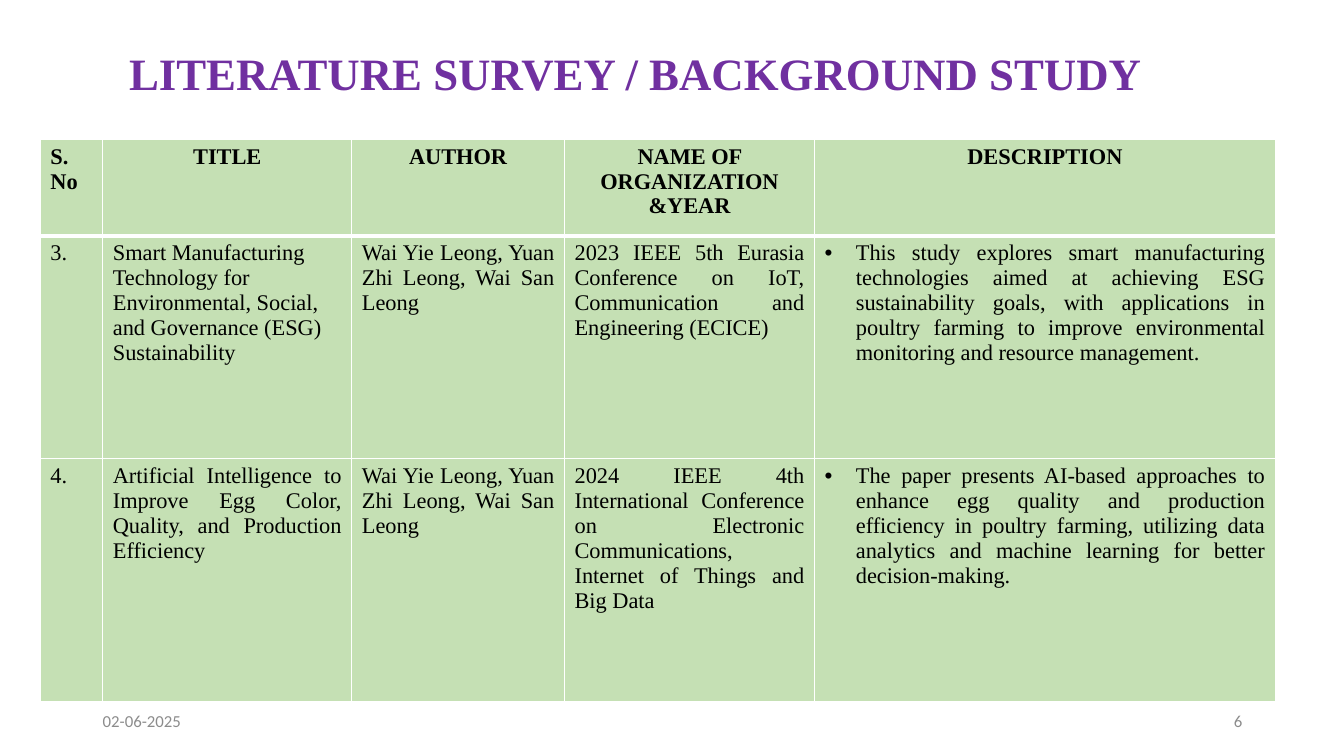
from lxml.etree import SubElement
from pptx import Presentation
from pptx.dml.color import RGBColor
from pptx.enum.text import MSO_ANCHOR, MSO_AUTO_SIZE, PP_ALIGN
from pptx.oxml.ns import qn
from pptx.util import Inches, Pt

PURPLE = RGBColor(0x70, 0x30, 0xA0)
GREEN = RGBColor(0xC5, 0xE0, 0xB4)
GREY = RGBColor(0x8C, 0x8C, 0x8C)
BLACK = RGBColor(0, 0, 0)
WHITE = RGBColor(0xFF, 0xFF, 0xFF)

COLUMN_WIDTHS = (0.62, 2.47, 2.11, 2.48, 4.57)
ROW_HEIGHTS = (0.96, 2.21, 2.41)
AUTHORS = "Wai Yie Leong, Yuan Zhi Leong, Wai San Leong"
SURVEY = (
    ("S. No", "TITLE", "AUTHOR", "NAME OF ORGANIZATION &YEAR", "DESCRIPTION"),
    ("3.",
     "Smart Manufacturing Technology for Environmental, Social, and Governance "
     "(ESG) Sustainability",
     AUTHORS,
     "2023 IEEE 5th Eurasia Conference on IoT, Communication and Engineering (ECICE)",
     "This study explores smart manufacturing technologies aimed at achieving ESG "
     "sustainability goals, with applications in poultry farming to improve "
     "environmental monitoring and resource management."),
    ("4.",
     "Artificial Intelligence to Improve Egg Color, Quality, and Production Efficiency",
     AUTHORS,
     "2024 IEEE 4th International Conference on Electronic Communications, "
     "Internet of Things and Big Data",
     "The paper presents AI-based approaches to enhance egg quality and production "
     "efficiency in poultry farming, utilizing data analytics and machine learning "
     "for better decision-making."),
)


class SurveySlide:
    heading_font = "Times New Roman"
    footer_font = "Calibri"

    def __init__(self, presentation):
        title_only = presentation.slide_layouts[5]
        self.slide = presentation.slides.add_slide(title_only)

    def set_text(self, frame, text, size, font, color, bold=False, align=PP_ALIGN.LEFT):
        frame.text = text
        paragraph = frame.paragraphs[0]
        paragraph.alignment = align
        style = paragraph.runs[0].font
        style.size, style.name, style.bold = Pt(size), font, bold
        style.color.rgb = color
        return paragraph

    def title(self, text):
        heading = self.slide.shapes.title
        heading.left, heading.top = Inches(0.4), Inches(0.32)
        heading.width, heading.height = Inches(12.7), Inches(0.86)
        frame = heading.text_frame
        frame.auto_size = MSO_AUTO_SIZE.NONE
        frame.vertical_anchor = MSO_ANCHOR.MIDDLE
        frame.margin_left = Inches(0.88)
        paragraph = self.set_text(frame, text, 32, self.heading_font, PURPLE, bold=True)
        paragraph.line_spacing = 0.9

    def footer(self, text, left, align):
        box = self.slide.shapes.add_textbox(
            Inches(left), Inches(6.95), Inches(3), Inches(0.4))
        frame = box.text_frame
        frame.word_wrap = True
        frame.vertical_anchor = MSO_ANCHOR.MIDDLE
        self.set_text(frame, text, 12, self.footer_font, GREY, align=align)

    def table(self, rows):
        table = self.slide.shapes.add_table(
            len(rows), len(COLUMN_WIDTHS), Inches(0.4), Inches(1.38),
            Inches(sum(COLUMN_WIDTHS)), Inches(sum(ROW_HEIGHTS))).table
        for column, width in zip(table.columns, COLUMN_WIDTHS):
            column.width = Inches(width)
        for row, height in zip(table.rows, ROW_HEIGHTS):
            row.height = Inches(height)
        for r, texts in enumerate(rows):
            for c, text in enumerate(texts):
                self.cell(table.cell(r, c), text, r, c)

    def cell(self, cell, text, row, column):
        is_header = row == 0
        if is_header and column > 0:
            align = PP_ALIGN.CENTER
        elif (row, column) == (1, 1):
            align = PP_ALIGN.LEFT
        else:
            align = PP_ALIGN.JUSTIFY
        paragraph = self.set_text(cell.text_frame, text, 16, self.heading_font, BLACK,
                                  bold=is_header, align=align)
        if column == len(COLUMN_WIDTHS) - 1 and not is_header:
            self.bullet(paragraph)
        self.borders(cell, top=3 if row == 1 else 1, bottom=3 if is_header else 1)
        cell.fill.solid()
        cell.fill.fore_color.rgb = GREEN

    def bullet(self, paragraph):
        properties = paragraph._p.get_or_add_pPr()
        properties.set("marL", str(Inches(0.31)))
        properties.set("indent", str(Inches(-0.31)))
        SubElement(properties, qn("a:buFont"), typeface="Arial")
        SubElement(properties, qn("a:buChar"), char="•")

    def borders(self, cell, top, bottom):
        """Draw white cell borders; top and bottom are widths in points."""
        properties = cell._tc.get_or_add_tcPr()
        for side, width in (("L", 1), ("R", 1), ("T", top), ("B", bottom)):
            line = SubElement(properties, qn(f"a:ln{side}"), w=str(Pt(width)))
            fill = SubElement(line, qn("a:solidFill"))
            SubElement(fill, qn("a:srgbClr"), val=str(WHITE))


def main():
    presentation = Presentation()
    presentation.slide_width = Inches(13.33)
    presentation.slide_height = Inches(7.5)
    survey = SurveySlide(presentation)
    survey.title("LITERATURE SURVEY / BACKGROUND STUDY")
    survey.footer("02-06-2025", 0.92, PP_ALIGN.LEFT)
    survey.footer("6", 9.42, PP_ALIGN.RIGHT)
    survey.table(SURVEY)
    presentation.save("out.pptx")


if __name__ == "__main__":
    main()
